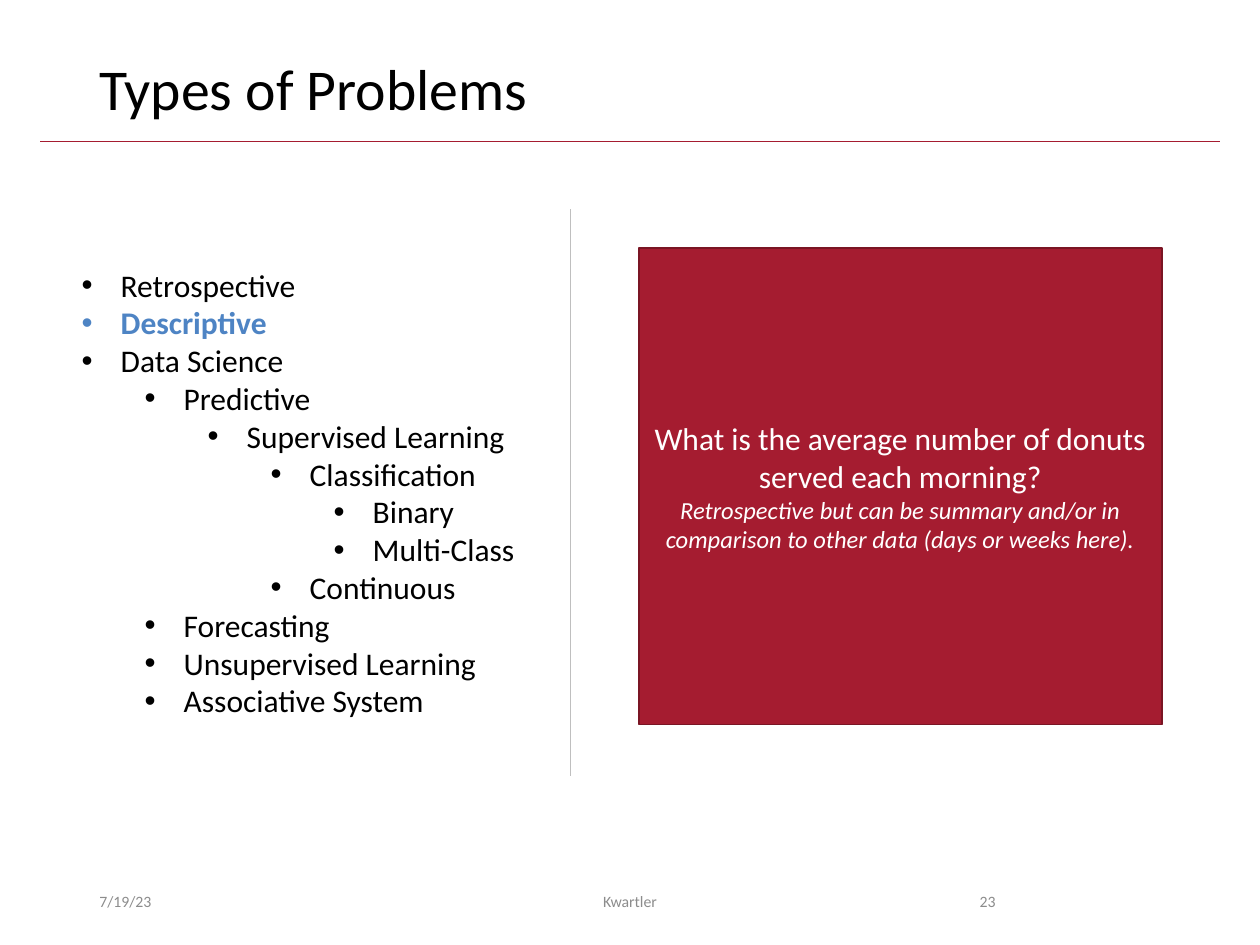
from lxml import etree
from pptx import Presentation, util as u
from pptx.dml.color import RGBColor
from pptx.enum import shapes, text
from pptx.oxml.ns import qn

FONT = "Calibri"
BLACK, WHITE, GRAY = "000000", "FFFFFF", "8C8C8C"
CRIMSON, DARK_RED, BLUE, RULE = "A51C30", "7A1524", "4E84C4", "BFBFBF"
LEFT, CENTER, RIGHT = text.PP_ALIGN.LEFT, text.PP_ALIGN.CENTER, text.PP_ALIGN.RIGHT
TOP, MIDDLE = text.MSO_ANCHOR.TOP, text.MSO_ANCHOR.MIDDLE

# Content
TITLE = "Types of Problems"
PROBLEMS = [  # level, name
    (0, "Retrospective"),
    (0, "Descriptive"),
    (0, "Data Science"),
    (1, "Predictive"),
    (2, "Supervised Learning"),
    (3, "Classification"),
    (4, "Binary"),
    (4, "Multi-Class"),
    (3, "Continuous"),
    (1, "Forecasting"),
    (1, "Unsupervised Learning"),
    (1, "Associative System"),
]
CURRENT = "Descriptive"
QUESTION = "What is the average number of donuts served each morning?"
REMARK = "Retrospective but can be summary and/or in comparison to other data (days or weeks here)."
FOOTER = [  # text, left, width, alignment
    ("7/19/23", 0.69, 2.25, LEFT),
    ("Kwartler", 3.31, 3.38, CENTER),
    ("23", 7.06, 0.94, RIGHT),
]
LINES = [  # from, to, colour
    ((0.32, 1.12), (9.68, 1.12), CRIMSON),
    ((4.53, 1.66), (4.53, 6.16), RULE),
]
HANG, STEP = 0.31, 0.5  # bullet hang and indent per level

deck = Presentation()
deck.slide_width, deck.slide_height = u.Inches(10), u.Inches(7.5)
page = deck.slides.add_slide(deck.slide_layouts[6])


def color(value):
    return RGBColor.from_string(value)


def inches(*values):
    return [u.Inches(value) for value in values]


def add_box(left, top, width, height, anchor=TOP, wrap=True):
    box = page.shapes.add_textbox(*inches(left, top, width, height))
    box.text_frame.word_wrap = wrap
    box.text_frame.vertical_anchor = anchor
    return box


def write(box, words, size=18, fill=BLACK, bold=False, italic=False, align=LEFT, spacing=None):
    frame = box.text_frame
    para = frame.add_paragraph() if frame.text else frame.paragraphs[0]
    para.alignment = align
    para.line_spacing = spacing
    span = para.add_run()
    span.text = words
    font = span.font
    font.name, font.size, font.bold, font.italic = FONT, u.Pt(size), bold, italic
    font.color.rgb = color(fill)
    return para


def add_bullet(para, level):
    para.level = level
    props = para._p.get_or_add_pPr()
    props.set("marL", str(u.Inches(HANG + STEP * level)))
    props.set("indent", str(-u.Inches(HANG)))
    etree.SubElement(props, qn("a:buFont")).set("typeface", "Arial")
    etree.SubElement(props, qn("a:buChar")).set("char", "•")


# Header rule and column divider
for start, end, stroke in LINES:
    line = page.shapes.add_connector(shapes.MSO_CONNECTOR.STRAIGHT, *inches(*start, *end))
    line.line.color.rgb = color(stroke)
    line.line.width = u.Pt(0.5)
    etree.SubElement(line._element.spPr, qn("a:effectLst"))

# Title
write(add_box(0.69, 0.4, 8.62, 0.65, MIDDLE), TITLE, size=33, spacing=0.9)

# Problem types
outline = add_box(0.55, 2.06, 3.67, 4.04, wrap=False)
outline.text_frame.auto_size = text.MSO_AUTO_SIZE.SHAPE_TO_FIT_TEXT
for level, name in PROBLEMS:
    current = name == CURRENT
    add_bullet(write(outline, name, fill=BLUE if current else BLACK, bold=current), level)

# Example panel
panel = page.shapes.add_shape(shapes.MSO_SHAPE.RECTANGLE, *inches(5.07, 1.97, 4.15, 3.78))
panel.shadow.inherit = False
panel.fill.solid()
panel.fill.fore_color.rgb = color(CRIMSON)
panel.line.color.rgb = color(DARK_RED)
panel.line.width = u.Pt(1)
panel.text_frame.word_wrap = True
panel.text_frame.vertical_anchor = MIDDLE
write(panel, QUESTION, fill=WHITE, align=CENTER)
write(panel, REMARK, size=14, fill=WHITE, italic=True, align=CENTER)

# Footer
for words, left, width, align in FOOTER:
    write(add_box(left, 6.95, width, 0.4, MIDDLE), words, size=9, fill=GRAY, align=align)

deck.save("out.pptx")
